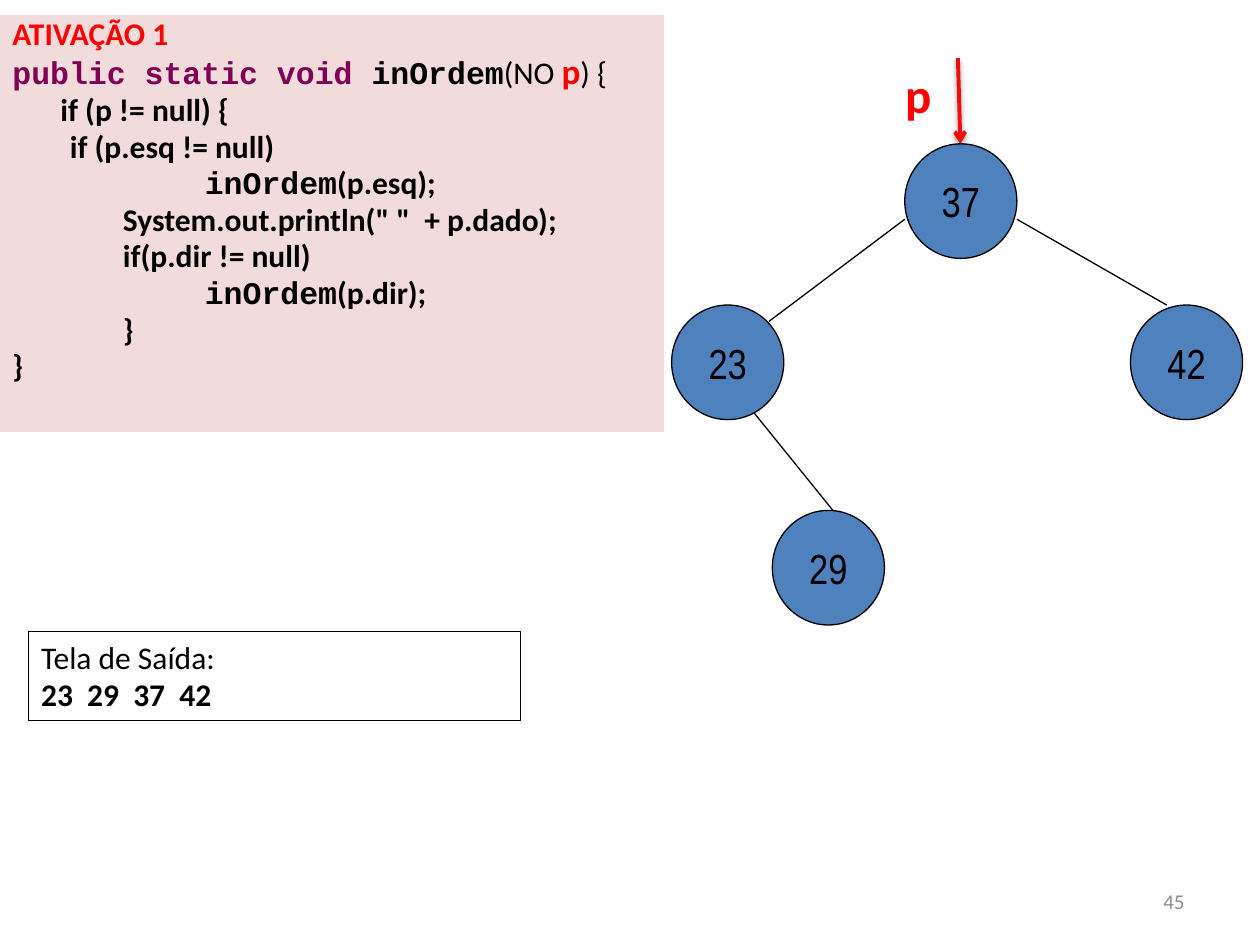
from lxml import etree
from pptx import Presentation
from pptx.dml.color import RGBColor
from pptx.enum.shapes import MSO_CONNECTOR, MSO_SHAPE
from pptx.enum.text import MSO_ANCHOR, PP_ALIGN
from pptx.oxml.ns import qn
from pptx.util import Cm, Pt

STRAIGHT = MSO_CONNECTOR.STRAIGHT
OVAL = MSO_SHAPE.OVAL
RECTANGLE = MSO_SHAPE.RECTANGLE
TOP, MIDDLE = MSO_ANCHOR.TOP, MSO_ANCHOR.MIDDLE
LEFT, CENTER, RIGHT = PP_ALIGN.LEFT, PP_ALIGN.CENTER, PP_ALIGN.RIGHT

BLACK, RED, PURPLE = "000000", "FF0000", "7F0055"
MONO = "Courier New"

NODE_WIDTH, NODE_HEIGHT = 2.26, 2.31
NODES = {"23": (0, 4.98), "29": (2.03, 9.12), "37": (4.7, 1.73), "42": (9.25, 4.98)}
EDGES = [
    (6.96, 3.25, 9.98, 4.98),
    (4.7, 3.25, 1.96, 5.31),
    (1.65, 7.14, 3.25, 9.12),
]

CODE_LINES = [
    (0, [("ATIVAÇÃO 1", {"color": RED, "bold": True})]),
    (0, [
        ("public static void ", {"font": MONO, "color": PURPLE, "bold": True}),
        ("inOrdem", {"font": MONO, "bold": True}),
        ("(NO ", {}),
        ("p", {"size": 20, "color": RED, "bold": True}),
        (") {", {}),
    ]),
    (0.97, [("if (p != null) {", {"bold": True})]),
    (1.16, [("if (p.esq != null)", {"bold": True})]),
    (3.88, [("inOrdem", {"font": MONO, "bold": True}), ("(p.esq);", {"bold": True})]),
    (2.23, [('System.out.println(" "  + p.dado);', {"bold": True})]),
    (2.23, [("if(p.dir != null)", {"bold": True})]),
    (3.88, [("inOrdem", {"font": MONO, "bold": True}), ("(p.dir);", {"bold": True})]),
    (2.23, [("}", {"bold": True})]),
    (0, [("}", {"bold": True})]),
]


def rgb(value):
    return RGBColor.from_string(value)


def add_span(para, text, font="Calibri", size=18, color=BLACK, bold=False):
    span = para.add_run()
    span.text = text
    span.font.name = font
    span.font.size = Pt(size)
    span.font.bold = bold
    span.font.color.rgb = rgb(color)


def add_para(frame, first, align=LEFT):
    para = frame.paragraphs[0] if first else frame.add_paragraph()
    para.alignment = align
    return para


def add_shape(shapes, kind, left, top, width, height, fill=None, line=None, anchor=TOP):
    shape = shapes.add_shape(kind, Cm(left), Cm(top), Cm(width), Cm(height))
    shape.shadow.inherit = False
    if fill:
        shape.fill.solid()
        shape.fill.fore_color.rgb = rgb(fill)
    else:
        shape.fill.background()
    if line:
        shape.line.color.rgb = rgb(line)
        shape.line.width = Pt(0.75)
    else:
        shape.line.fill.background()
    shape.text_frame.vertical_anchor = anchor
    return shape


def add_label(shapes, left, top, width, height, text, align=LEFT, anchor=TOP, **style):
    box = shapes.add_textbox(Cm(left), Cm(top), Cm(width), Cm(height))
    box.text_frame.word_wrap = True
    box.text_frame.vertical_anchor = anchor
    add_span(add_para(box.text_frame, True, align), text, **style)


def add_line(shapes, x1, y1, x2, y2, color=BLACK, width=0.75):
    line = shapes.add_connector(STRAIGHT, Cm(x1), Cm(y1), Cm(x2), Cm(y2))
    line.line.color.rgb = rgb(color)
    line.line.width = Pt(width)
    effects = etree.SubElement(line._element.spPr, qn("a:effectLst"))
    return line, effects


def add_pointer(shapes, x1, y1, x2, y2):
    line, effects = add_line(shapes, x1, y1, x2, y2, "F40C0C", 2.25)
    etree.SubElement(line.line._get_or_add_ln(), qn("a:tailEnd"), type="arrow")
    shadow = etree.SubElement(
        effects, qn("a:outerShdw"), blurRad=str(Pt(3.1)), dist=str(Pt(1.6)),
        dir="5400000", rotWithShape="0")
    color = etree.SubElement(shadow, qn("a:srgbClr"), val=BLACK)
    etree.SubElement(color, qn("a:alpha"), val="38000")


def add_code(page, left, top, width, height):
    box = add_shape(page.shapes, RECTANGLE, left, top, width, height, fill="F2DCDB")
    box.text_frame.word_wrap = True
    for index, (indent, spans) in enumerate(CODE_LINES):
        para = add_para(box.text_frame, index == 0)
        para.line_spacing = 0.8
        para.space_before = Pt(3.6 if index else 0)
        properties = para._p.get_or_add_pPr()
        properties.set("marL", str(Cm(indent)))
        properties.set("indent", "0")
        for text, style in spans:
            add_span(para, text, **style)


def add_output(page, left, top, width, height):
    box = add_shape(page.shapes, RECTANGLE, left, top, width, height, line=BLACK)
    box.text_frame.word_wrap = True
    add_span(add_para(box.text_frame, True), "Tela de Saída:")
    add_span(add_para(box.text_frame, False), "23  29  37  42", bold=True)


def add_tree(page, left, top):
    shapes = page.shapes.add_group_shape().shapes
    for text, (x, y) in NODES.items():
        node = add_shape(shapes, OVAL, left + x, top + y, NODE_WIDTH, NODE_HEIGHT,
                         "4F81BD", BLACK, MIDDLE)
        node.text_frame.word_wrap = False
        add_span(add_para(node.text_frame, True, CENTER), text, "Arial Narrow", 24)
    for x1, y1, x2, y2 in EDGES:
        add_line(shapes, left + x1, top + y1, left + x2, top + y2)
    add_pointer(shapes, left + 5.77, top, left + 5.82, top + 1.73)
    add_label(shapes, left + 4.47, top, 1.93, 1.45, "p", size=28, color=RED, bold=True)


def main():
    deck = Presentation()
    deck.slide_width, deck.slide_height = Cm(25.4), Cm(19.05)
    page = deck.slides.add_slide(deck.slide_layouts[6])
    add_label(page.shapes, 18.21, 17.65, 5.92, 1.02, "45", RIGHT, MIDDLE,
              size=12, color="8C8C8C")
    add_output(page, 0.58, 12.73, 9.91, 1.8)
    add_tree(page, 13.54, 1.17)
    add_code(page, 0, 0.3, 13.39, 8.41)
    deck.save("out.pptx")


if __name__ == "__main__":
    main()
